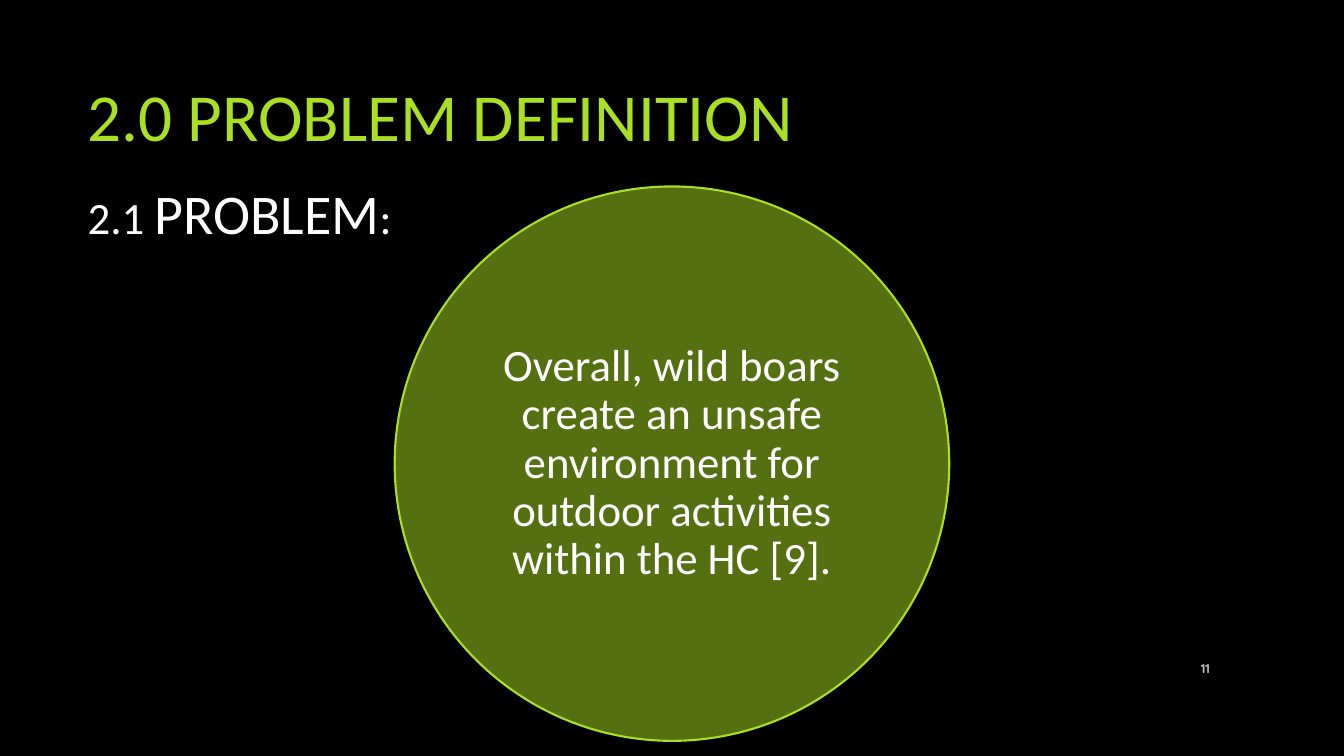
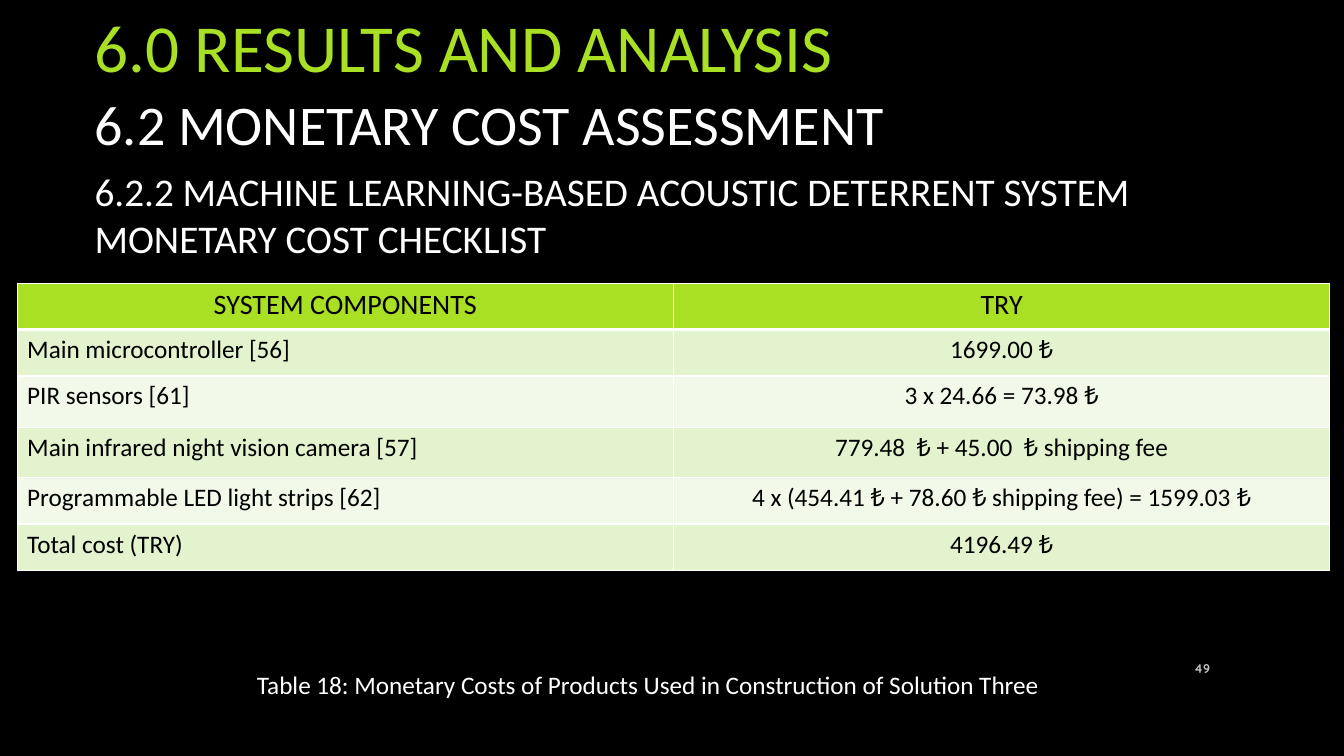
from lxml.etree import SubElement
from pptx import Presentation
from pptx.dml.color import RGBColor
from pptx.enum.shapes import MSO_SHAPE
from pptx.enum.text import MSO_ANCHOR, MSO_AUTO_SIZE, PP_ALIGN
from pptx.oxml.ns import qn
from pptx.util import Inches, Pt

LIME, WHITE, BLACK, GREY = "A9E023", "FFFFFF", "000000", "BFBFBF"
BANDS = ["E2F3CD", "F1F9E8"]
FONT = "Calibri"
WIDE, HIGH = 13.33, 7.5
LEFT, CENTER, RIGHT = PP_ALIGN.LEFT, PP_ALIGN.CENTER, PP_ALIGN.RIGHT

PROBLEM = [("2.1 ", 32), ("PROBLEM", 40), (":", 32)]
CLAIM = ("Overall, wild boars create an unsafe environment for "
         "outdoor activities within the HC [9].")
HEADS = [  # text, size, box
    ("6.2 MONETARY COST ASSESSMENT", 40, (0.84, 0.84, 8.41, 0.77)),
    ("6.2.2 MACHINE LEARNING-BASED ACOUSTIC DETERRENT SYSTEM "
     "MONETARY COST CHECKLIST", 28, (0.84, 1.61, 10.5, 1.04)),
    ("Table 18: Monetary Costs of Products Used in Construction of "
     "Solution Three", 18, (2.45, 6.59, 8.43, 0.4)),
]
COSTS = [
    ("SYSTEM COMPONENTS", "TRY"),
    ("Main microcontroller [56]", "1699.00 ₺"),
    ("PIR sensors [61]", "3 x 24.66 = 73.98 ₺"),
    ("Main infrared night vision camera [57]",
     "779.48  ₺ + 45.00  ₺ shipping fee"),
    ("Programmable LED light strips [62]",
     "4 x (454.41 ₺ + 78.60 ₺ shipping fee) = 1599.03 ₺"),
    ("Total cost (TRY)", "4196.49 ₺"),
]
ROWS = [0.46, 0.46, 0.51, 0.5, 0.46, 0.46]


def rgb(code):
    return RGBColor.from_string(code)


def paint(fill, code):
    fill.solid()
    fill.fore_color.rgb = rgb(code)


def write(frame, runs, color=WHITE, align=LEFT, font=FONT, bold=False):
    """Fill the first paragraph with (text, size) runs."""
    para = frame.paragraphs[0]
    para.alignment = align
    for text, size in runs:
        run = para.add_run()
        run.text = text
        face = run.font
        face.name, face.size, face.bold = font, Pt(size), bold
        face.color.rgb = rgb(color)
    return para


def place(shape, box):
    shape.left, shape.top, shape.width, shape.height = map(Inches, box)


def label(slide, box, runs, anchor=MSO_ANCHOR.TOP, **look):
    frame = slide.shapes.add_textbox(*map(Inches, box)).text_frame
    frame.word_wrap = True
    frame.vertical_anchor = anchor
    write(frame, runs, **look)


def start(deck, layout, title, box, number):
    """Add a slide with its title and page number."""
    slide = deck.slides.add_slide(deck.slide_layouts[layout])
    head = slide.shapes.title
    place(head, box)
    frame = head.text_frame
    frame.auto_size = MSO_AUTO_SIZE.NONE
    frame.vertical_anchor = MSO_ANCHOR.MIDDLE
    write(frame, [(title, 48)], LIME)
    label(slide, (11.5, 6.43, 0.6, 0.4), [(number, 9)], MSO_ANCHOR.MIDDLE,
          color=GREY, align=RIGHT, font="Quicksand", bold=True)
    return slide


def edge(cell, side, width):
    line = SubElement(cell._tc.get_or_add_tcPr(), qn("a:" + side),
                      w=str(Pt(width)))
    fill = SubElement(line, qn("a:solidFill"))
    SubElement(fill, qn("a:srgbClr"), val=WHITE)


def add_body(slide):
    body = slide.placeholders[1]
    place(body, (0.77, 1.72, 11.48, 1.28))
    frame = body.text_frame
    frame.auto_size = MSO_AUTO_SIZE.NONE
    props = frame.paragraphs[0]._p.get_or_add_pPr()
    props.set("marL", "0")
    props.set("indent", "0")
    SubElement(props, qn("a:buNone"))
    write(frame, PROBLEM).space_before = Pt(0)


def add_disc(slide):
    size = 5.5
    box = ((WIDE - size) / 2, 1.85, size, size)
    disc = slide.shapes.add_shape(MSO_SHAPE.OVAL, *map(Inches, box))
    disc.shadow.inherit = False
    paint(disc.fill, LIME)
    tint = disc.fill._xPr.find(".//" + qn("a:srgbClr"))
    SubElement(tint, qn("a:alpha"), val="50000")
    disc.line.color.rgb = rgb(LIME)
    disc.line.width = Pt(1.5)
    frame = disc.text_frame
    frame.word_wrap = True
    frame.vertical_anchor = MSO_ANCHOR.MIDDLE
    frame.margin_left = frame.margin_right = 0
    frame.margin_top = frame.margin_bottom = 0
    write(frame, [(CLAIM, 32)], align=CENTER).line_spacing = 0.9


def add_costs(slide):
    box = (0.17, 2.81, 13.02, sum(ROWS))
    table = slide.shapes.add_table(len(COSTS), 2, *map(Inches, box)).table
    for r, (texts, high) in enumerate(zip(COSTS, ROWS)):
        table.rows[r].height = Inches(high)
        for c, text in enumerate(texts):
            cell = table.cell(r, c)
            for side in ("lnL", "lnR", "lnT", "lnB"):
                thick = (r, side) in ((0, "lnB"), (1, "lnT"))
                edge(cell, side, 3 if thick else 1)
            paint(cell.fill, BANDS[(r - 1) % 2] if r else LIME)
            write(cell.text_frame, [(text, 18 if r else 20)], BLACK,
                  LEFT if r and not c else CENTER)


def main():
    deck = Presentation()
    deck.slide_width, deck.slide_height = Inches(WIDE), Inches(HIGH)
    paint(deck.slide_master.background.fill, BLACK)

    slide = start(deck, 1, "2.0 PROBLEM DEFINITION",
                  (0.77, 0.44, 10.83, 1.39), "11")
    add_body(slide)
    add_disc(slide)

    slide = start(deck, 5, "6.0 RESULTS AND ANALYSIS",
                  (0.84, 0, 11.65, 0.9), "49")
    add_costs(slide)
    for text, size, box in HEADS:
        label(slide, box, [(text, size)])

    deck.save("out.pptx")


if __name__ == "__main__":
    main()
